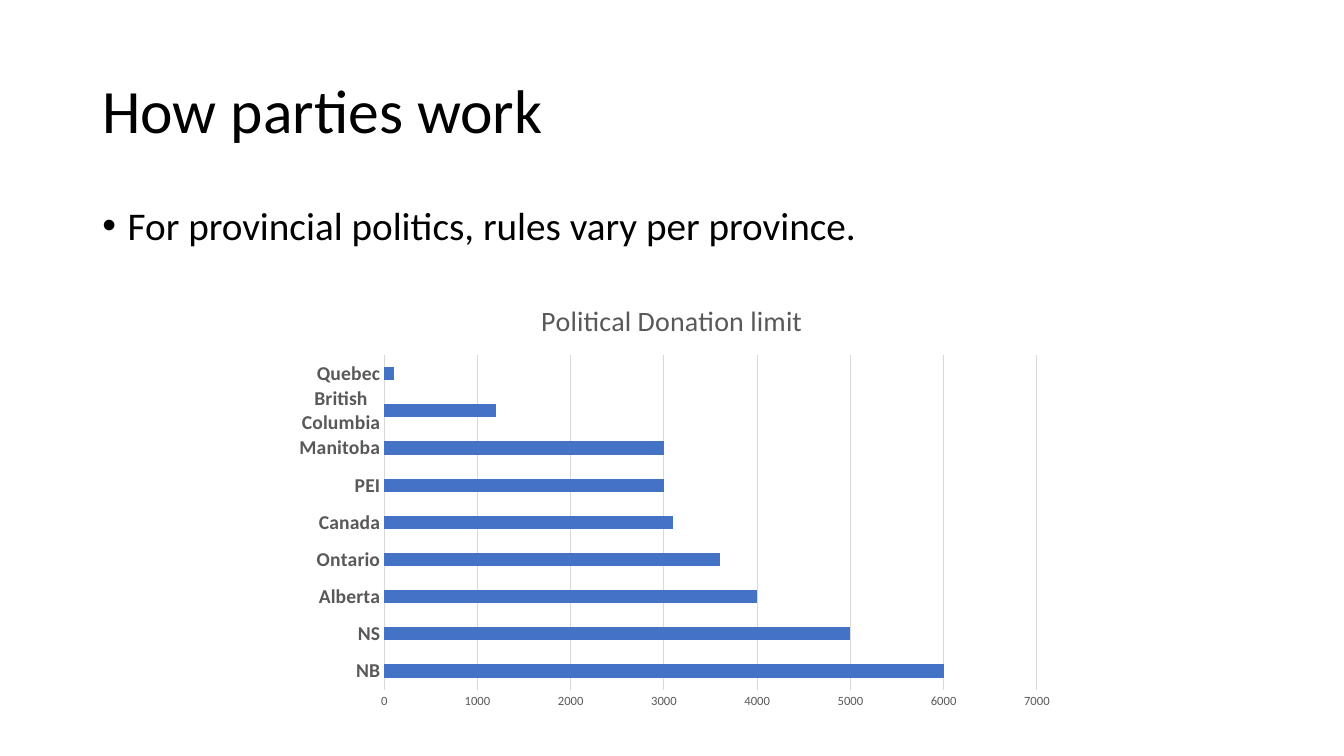
"""Build a slide on provincial donation limits."""
from lxml import etree
from pptx import Presentation
from pptx.chart.data import CategoryChartData
from pptx.dml.color import RGBColor
from pptx.enum.chart import XL_CHART_TYPE, XL_TICK_MARK
from pptx.enum.text import MSO_ANCHOR
from pptx.oxml.ns import qn
from pptx.util import Cm, Pt

BAR = XL_CHART_TYPE.BAR_CLUSTERED
NONE = XL_TICK_MARK.NONE
TOP, MIDDLE = MSO_ANCHOR.TOP, MSO_ANCHOR.MIDDLE
COLORS = {"text": "000000", "label": "595959", "grid": "D9D9D9", "bar": "4472C4"}
LIMITS = {
    "NB": 6000, "NS": 5000, "Alberta": 4000, "Ontario": 3600, "Canada": 3100,
    "PEI": 3000, "Manitoba": 3000, "British Columbia": 1200, "Quebec": 100,
}
PLOT = {"x": 0.13, "y": 0.17, "w": 0.84, "h": 0.77}


class Deck:
    def __init__(self, slide, face="Calibri"):
        self.slide = slide
        self.face = face

    def color(self, name):
        return RGBColor.from_string(COLORS[name])

    def style(self, font, size, name, bold=False):
        font.name, font.size, font.bold = self.face, Pt(size), bold
        font.color.rgb = self.color(name)

    def text(self, box, words, size, anchor=TOP, bullet=False):
        frame = self.slide.shapes.add_textbox(*map(Cm, box)).text_frame
        frame.word_wrap = True
        frame.vertical_anchor = anchor
        para = frame.paragraphs[0]
        para.line_spacing = 0.9
        if bullet:
            para.space_before = Pt(10)
            props = para._p.get_or_add_pPr()
            props.set("marL", str(Cm(0.64)))
            props.set("indent", str(Cm(-0.64)))
            etree.SubElement(props, qn("a:buFont"), typeface="Arial")
            etree.SubElement(props, qn("a:buChar"), char="•")
        run = para.add_run()
        run.text = words
        self.style(run.font, size, "text")

    def line(self, form):
        form.line.color.rgb = self.color("grid")
        form.line.width = Pt(0.75)

    def chart(self, box, title, limits):
        data = CategoryChartData()
        data.categories = list(limits)
        data.add_series("Series 1", list(limits.values()))
        chart = self.slide.shapes.add_chart(BAR, *map(Cm, box), data).chart
        self.style(chart.font, 10, "text")
        chart.has_legend = False
        chart.has_title = True
        run = chart.chart_title.text_frame.paragraphs[0].add_run()
        run.text = title
        self.style(run.font, 20, "label")
        chart.chart_title.include_in_layout = False

        plot = chart.plots[0]
        plot.gap_width = 182
        plot.vary_by_categories = False
        fill = plot.series[0].format.fill
        fill.solid()
        fill.fore_color.rgb = self.color("bar")

        names, scale = chart.category_axis, chart.value_axis
        for axis, size, bold in ((names, 14, True), (scale, 9, False)):
            axis.major_tick_mark = axis.minor_tick_mark = NONE
            self.style(axis.tick_labels.font, size, "label", bold)
        self.line(names.format)
        skip = etree.Element(qn("c:tickLblSkip"), val="2")
        names._element.find(qn("c:noMultiLvlLbl")).addprevious(skip)
        scale.format.line.fill.background()
        scale.minimum_scale, scale.maximum_scale = 0, 7000
        scale.major_unit = 1000
        scale.has_major_gridlines = True
        self.line(scale.major_gridlines.format)
        self.place(chart)

    def place(self, chart):
        area = chart._chartSpace.chart.plotArea
        for old in area.findall(qn("c:layout")):
            area.remove(old)
        layout = etree.Element(qn("c:layout"))
        area.insert(0, layout)
        manual = etree.SubElement(layout, qn("c:manualLayout"))
        rules = {"layoutTarget": "inner", "xMode": "edge", "yMode": "edge", **PLOT}
        for key, val in rules.items():
            etree.SubElement(manual, qn("c:" + key), val=str(val))


def main():
    show = Presentation()
    show.slide_width, show.slide_height = Cm(33.87), Cm(19.05)
    deck = Deck(show.slides.add_slide(show.slide_layouts[6]))
    deck.text((2.33, 1.01, 29.21, 3.68), "How parties work", 44, MIDDLE)
    deck.text((2.33, 5.07, 29.21, 12.09),
              "For provincial politics, rules vary per province.", 28, bullet=True)
    deck.chart((7.14, 7.09, 19.58, 10.95), "Political Donation limit", LIMITS)
    show.save("out.pptx")


if __name__ == "__main__":
    main()
